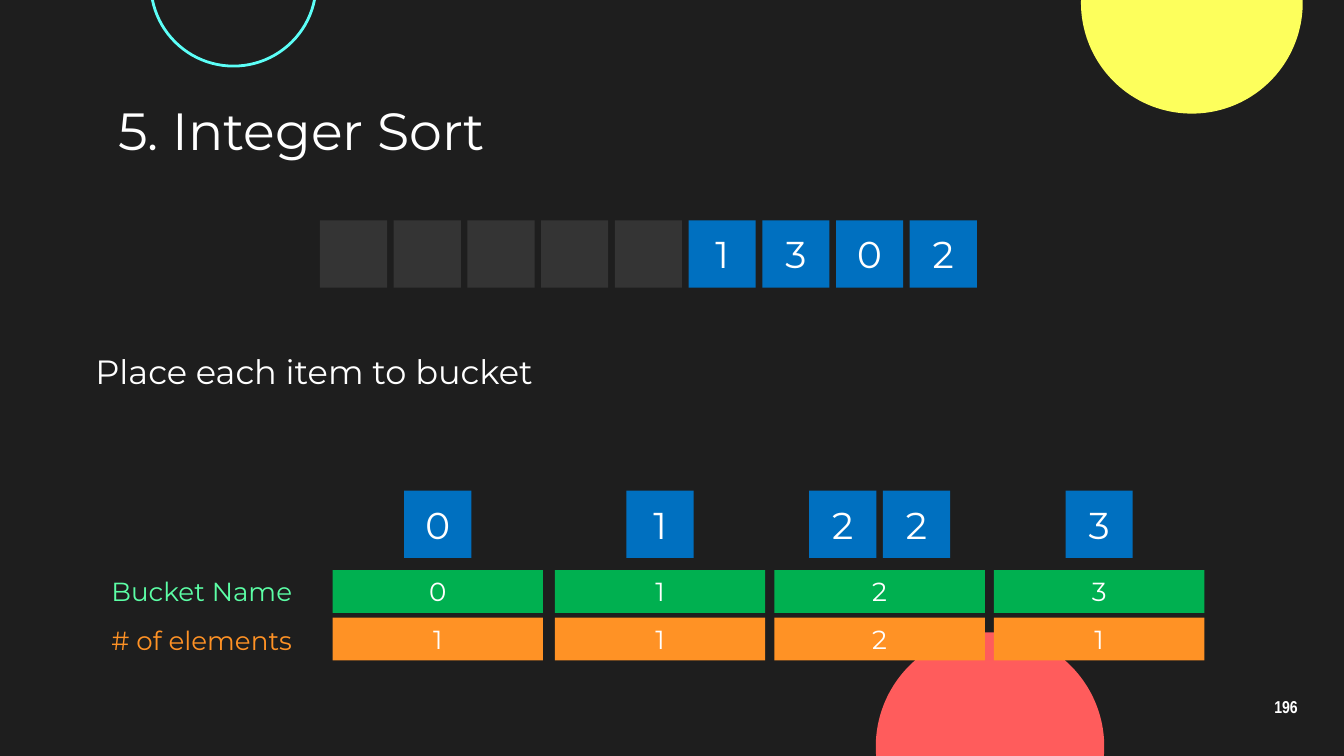
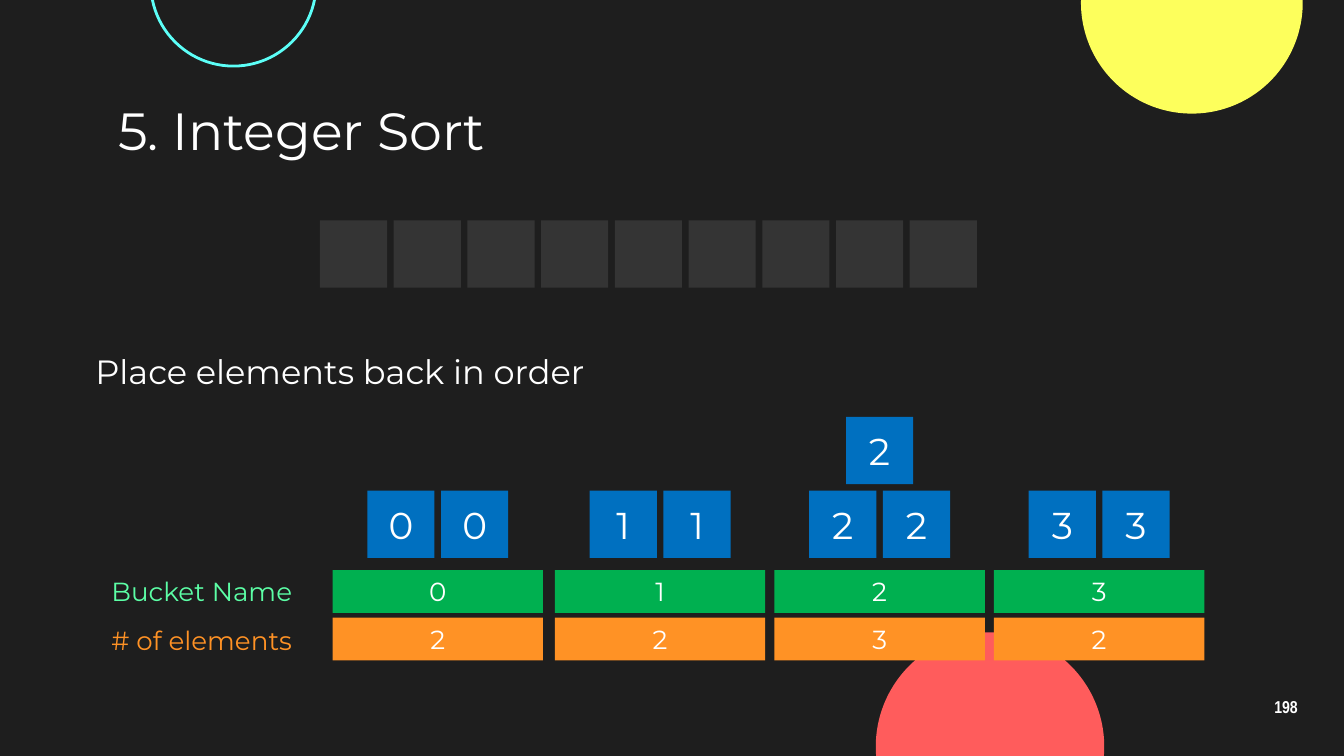
"""Builds two dark slides that show integer sort filling its buckets."""
from dataclasses import dataclass

from pptx import Presentation
from pptx.dml.color import RGBColor
from pptx.enum.shapes import MSO_SHAPE as SHAPE
from pptx.enum.text import MSO_ANCHOR as ANCHOR, MSO_AUTO_SIZE as AUTO, PP_ALIGN as ALIGN
from pptx.util import Pt

TITLE = "5. Integer Sort"
SLIDES = [
    {"number": "196", "caption": "Place each item to bucket",
     "queue": ["", "", "", "", "", "1", "3", "0", "2"], "counts": [1, 1, 2, 1]},
    {"number": "198", "caption": "Place elements back in order",
     "queue": [""] * 9, "counts": [2, 2, 3, 2]},
]
BUCKETS = [("0", 178.2), ("1", 297.3), ("2", 414.9), ("3", 532.5)]


@dataclass(frozen=True)
class Theme:
    font: str = "Montserrat"
    number_font: str = "Arial Narrow"
    back: str = "1E1E1E"
    white: str = "FFFFFF"
    slot: str = "343434"
    tile: str = "0070C0"
    bucket: str = "00B050"
    mint: str = "5CFFA6"
    orange: str = "FF9225"
    yellow: str = "FDFF5C"
    cyan: str = "5CFFF8"
    red: str = "FF5C5C"
    title_size: float = 28
    tile_size: float = 20
    caption_size: float = 18
    label_size: float = 14
    number_size: float = 9.2


T = Theme()
CIRCLES = [
    (579.1, -57.9, 118.8, T.yellow, True),
    (80.8, -53.2, 88.6, T.cyan, False),
    (469.2, 338.8, 122.4, T.red, True),
]
TILE, PITCH = 36, 39.5
QUEUE_LEFT, QUEUE_TOP, STACK_TOP = 171.4, 118.1, 262.9
BAR_WIDTH, BAR_HEIGHT, NAME_TOP, COUNT_TOP = 112.7, 23, 305.4, 330.9
LABELS = [("Bucket Name", 304.5, T.mint), ("# of elements", 331.2, T.orange)]


def rgb(color):
    return RGBColor.from_string(color)


def write(sp, text, size, color=T.white, align=ALIGN.LEFT, font=T.font, bold=False):
    tf = sp.text_frame
    tf.text = text
    tf.word_wrap = True
    p = tf.paragraphs[0]
    p.alignment = align
    f = p.runs[0].font
    f.name, f.size, f.bold = font, Pt(size), bold
    f.color.rgb = rgb(color)
    return tf


def pad(tf):
    tf.auto_size = AUTO.NONE
    tf.vertical_anchor = ANCHOR.MIDDLE
    tf.margin_left = tf.margin_right = tf.margin_top = tf.margin_bottom = Pt(7.2)


def add_plain(shapes, kind, box, fill):
    sp = shapes.add_shape(kind, *map(Pt, box))
    sp.shadow.inherit = False
    sp.fill.solid()
    sp.fill.fore_color.rgb = rgb(fill)
    sp.line.fill.background()
    return sp


def add_block(shapes, box, fill, text="", size=T.tile_size):
    sp = add_plain(shapes, SHAPE.RECTANGLE, box, fill)
    if text:
        write(sp, text, size, align=ALIGN.CENTER).vertical_anchor = ANCHOR.MIDDLE


def add_label(s, box, text, size, color=T.white):
    tf = write(s.shapes.add_textbox(*map(Pt, box)), text, size, color)
    tf.auto_size = AUTO.SHAPE_TO_FIT_TEXT


def decorate(master, s):
    """Sets the shared background and moves the circles from a slide to its master."""
    master.background.fill.solid()
    master.background.fill.fore_color.rgb = rgb(T.back)
    for i, (left, top, size, color, filled) in enumerate(CIRCLES):
        sp = add_plain(s.shapes, SHAPE.OVAL, (left, top, size, size), color)
        if not filled:
            sp.fill.background()
            sp.line.color.rgb = rgb(color)
            sp.line.width = Pt(1.5)
        sp.element.nvSpPr.cNvPr.set("id", str(101 + i))
        master.shapes.element.insert(2 + i, sp.element)


def add_frame(s, number):
    sp = s.shapes.add_textbox(Pt(667.4), Pt(367.2), Pt(43.2), Pt(24.5))
    tf = write(sp, number, T.number_size, align=ALIGN.CENTER, font=T.number_font, bold=True)
    tf.paragraphs[0].line_spacing = 0.9
    pad(tf)
    title = s.shapes.title
    title.left, title.top, title.width, title.height = map(Pt, (56.2, 51.1, 607.7, 36.7))
    pad(write(title, TITLE, T.title_size))


def add_buckets(s, counts):
    for (name, left), count in zip(BUCKETS, counts):
        for top, fill, text in ((NAME_TOP, T.bucket, name), (COUNT_TOP, T.orange, str(count))):
            add_block(s.shapes, (left, top, BAR_WIDTH, BAR_HEIGHT), fill, text, T.label_size)
        for level, first in enumerate(range(0, count, 2)):
            n = min(2, count - first)
            start = left + (BAR_WIDTH - TILE - (n - 1) * PITCH) / 2
            for i in range(n):
                box = (start + i * PITCH, STACK_TOP - level * PITCH, TILE, TILE)
                add_block(s.shapes, box, T.tile, name)
    for text, top, color in LABELS:
        add_label(s, (52.6, top, 118, 24.2), text, T.label_size, color)


def add_queue(s, queue):
    slots = s.shapes.add_group_shape().shapes
    for i, text in enumerate(queue):
        box = (QUEUE_LEFT + i * PITCH, QUEUE_TOP, TILE, TILE)
        if text:
            add_block(s.shapes, box, T.tile, text)
        else:
            add_block(slots, box, T.slot)


def main():
    prs = Presentation()
    prs.slide_width, prs.slide_height = Pt(720), Pt(405)
    for i, data in enumerate(SLIDES):
        s = prs.slides.add_slide(prs.slide_layouts[5])
        if i == 0:
            decorate(prs.slide_master, s)
        add_frame(s, data["number"])
        add_label(s, (44, 184.7, 305.3, 29.1), data["caption"], T.caption_size)
        add_buckets(s, data["counts"])
        add_queue(s, data["queue"])
    prs.save("out.pptx")


if __name__ == "__main__":
    main()
